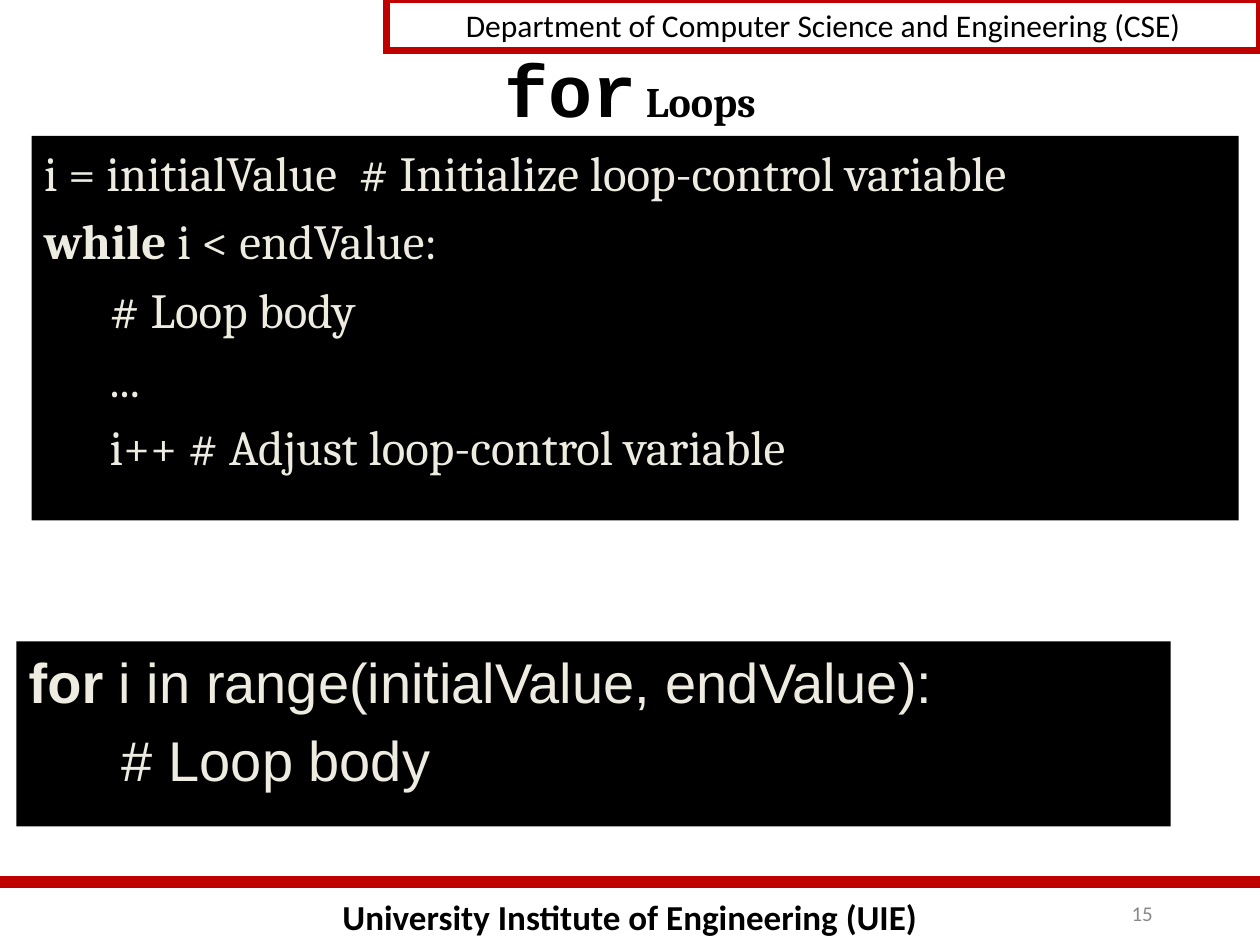
from dataclasses import dataclass

from lxml import etree
from pptx import Presentation
from pptx import util as u
from pptx.dml import color
from pptx.enum import shapes, text
from pptx.oxml import ns


@dataclass(frozen=True)
class Theme:
    red: str = "C00000"
    black: str = "000000"
    gray: str = "898989"
    cream: str = "EEECE1"
    keyword_size: int = 42
    title_size: int = 24
    header_size: int = 18
    footer_size: int = 20
    number_size: int = 12
    while_size: int = 28
    for_size: int = 32


theme = Theme()
align = text.PP_ALIGN
anchor = text.MSO_ANCHOR


def add_runs(paragraph, runs, rgb):
    """Add (text, font name, size, bold) runs to a paragraph."""
    for wording, name, size, bold in runs:
        run = paragraph.add_run()
        run.text = wording
        values = {"name": name, "size": u.Pt(size), "bold": bold}
        for attribute, value in values.items():
            setattr(run.font, attribute, value)
        run.font.color.rgb = color.RGBColor.from_string(rgb)


def add_box(slide, box, fill=None, line=None):
    """Add a rectangle placed in centimetres, ready for text."""
    shape = slide.shapes.add_shape(
        shapes.MSO_SHAPE.RECTANGLE, *[u.Cm(length) for length in box])
    shape.shadow.inherit = False
    if fill:
        shape.fill.solid()
        shape.fill.fore_color.rgb = color.RGBColor.from_string(fill)
    else:
        shape.fill.background()
    if line:
        shape.line.color.rgb = color.RGBColor.from_string(line)
        shape.line.width = u.Pt(4)
        # Square corners
        outline = shape._element.spPr.find(ns.qn("a:ln"))
        etree.SubElement(outline, ns.qn("a:miter")).set("lim", "800000")
    else:
        shape.line.fill.background()
    shape.text_frame.word_wrap = True
    shape.text_frame.vertical_anchor = anchor.TOP
    return shape


presentation = Presentation()
presentation.slide_width, presentation.slide_height = u.Cm(25.4), u.Cm(19.05)
slide = presentation.slides.add_slide(presentation.slide_layouts[5])

# Title, between the header box and the first code panel
title = slide.shapes.title
title_format = {"left": u.Cm(1.9), "top": u.Cm(0.82),
                "width": u.Cm(21.6), "height": u.Cm(1.9)}
for attribute, value in title_format.items():
    setattr(title, attribute, value)
title.text_frame.auto_size = text.MSO_AUTO_SIZE.NONE
title.text_frame.vertical_anchor = anchor.MIDDLE
title.text_frame.paragraphs[0].alignment = align.CENTER
add_runs(title.text_frame.paragraphs[0],
         [("for", "Courier New", theme.keyword_size, True),
          (" Loops", "Cambria", theme.title_size, True)], theme.black)

# Footer rule
rule = slide.shapes.add_connector(
    shapes.MSO_CONNECTOR.STRAIGHT, 0, u.Cm(17.78), u.Cm(25.4), u.Cm(17.78))
rule.line.color.rgb = color.RGBColor.from_string(theme.red)
rule.line.width = u.Pt(7)
etree.SubElement(rule._element.spPr, ns.qn("a:effectLst"))

# Header box, footer and slide number
labels = [
    ("Department of Computer Science and Engineering (CSE)",
     (7.8, 0, 17.6, 1.02), theme.red, theme.header_size, False, theme.black,
     align.CENTER, anchor.TOP),
    ("University Institute of Engineering (UIE)",
     (0, 17.93, 25.4, 1.12), None, theme.footer_size, True, theme.black,
     align.CENTER, anchor.TOP),
    ("15", (18.21, 17.78, 5.28, 1.27), None, theme.number_size, False,
     theme.gray, align.RIGHT, anchor.MIDDLE),
]
for wording, box, line, size, bold, rgb, alignment, vertical in labels:
    shape = add_box(slide, box, line=line)
    shape.text_frame.vertical_anchor = vertical
    paragraph = shape.text_frame.paragraphs[0]
    paragraph.alignment = alignment
    add_runs(paragraph, [(wording, "Calibri", size, bold)], rgb)

# Code panels: each line is (indented, bold keyword, remaining code)
panels = [
    ((0.64, 2.74, 24.33, 7.75), "Cambria", theme.while_size, 5.6, 1.32, [
        (False, "", "i = initialValue  # Initialize loop-control variable"),
        (False, "while", " i < endValue:"),
        (True, "", "# Loop body"),
        (True, "", "..."),
        (True, "", "i++ # Adjust loop-control variable")]),
    ((0.33, 12.93, 23.27, 3.73), "Arial", theme.for_size, 6.4, 1.88, [
        (False, "for", " i in range(initialValue, endValue):"),
        (True, "", "# Loop body")]),
]
for box, font, size, gap, indent, lines in panels:
    frame = add_box(slide, box, fill=theme.black).text_frame
    for number, (indented, keyword, code) in enumerate(lines):
        paragraph = frame.add_paragraph() if number else frame.paragraphs[0]
        paragraph.alignment = align.LEFT
        paragraph.space_before = u.Pt(gap)
        if indented:
            paragraph._p.get_or_add_pPr().set("marL", str(u.Cm(indent)))
        runs = [(keyword, font, size, True), (code, font, size, False)]
        add_runs(paragraph, [run for run in runs if run[0]], theme.cream)

presentation.save("out.pptx")
